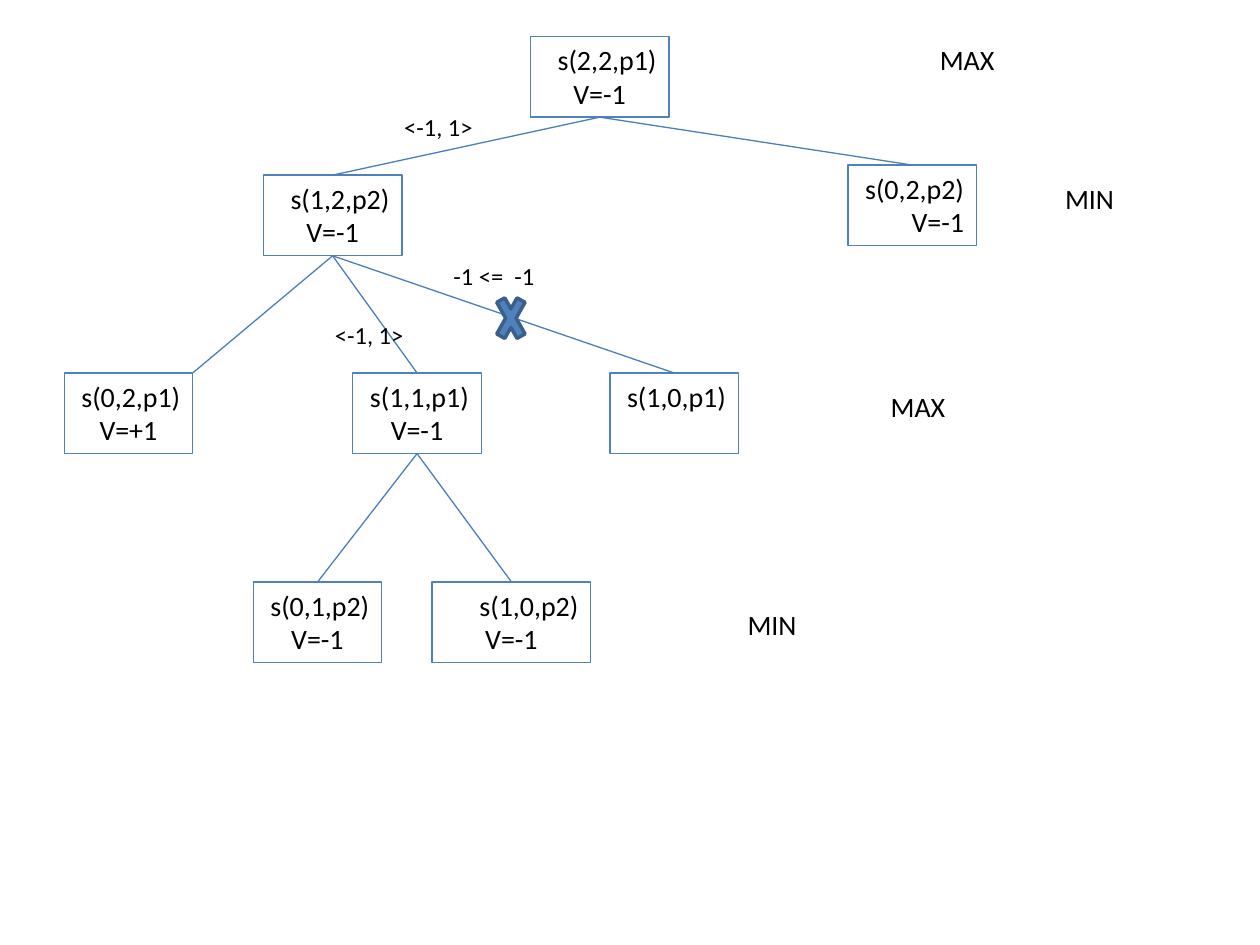
from pptx import Presentation
from pptx.dml.color import RGBColor
from pptx.enum import shapes, text
from pptx.oxml.ns import qn
from pptx.util import Inches, Pt

HUES = {"edge": "4F81BD", "link": "4B7EBC", "cross": "3A5F8C", "ink": "000000"}
RIGHT, MID, LEFT = text.PP_ALIGN.RIGHT, text.PP_ALIGN.CENTER, text.PP_ALIGN.LEFT
HIGH = 0.64

NODES = {
    "root": (4.21, 0.29, 1.1, ["s(2,2,p1)", "V=-1"]),
    "left": (2.09, 1.39, 1.1, ["s(1,2,p2)", "V=-1"]),
    "right": (6.73, 1.31, 1.02, ["s(0,2,p2)\vV=-1"]),
    "win": (0.51, 2.96, 1.02, ["s(0,2,p1)", "V=+1"]),
    "loss": (2.8, 2.96, 1.02, ["s(1,1,p1)", "V=-1"]),
    "pruned": (4.84, 2.96, 1.02, ["s(1,0,p1)"]),
    "leaf one": (2.01, 4.62, 1.02, ["s(0,1,p2)", "V=-1"]),
    "leaf two": (3.43, 4.62, 1.26, ["s(1,0,p2)", "V=-1"]),
}
LINKS = [
    ("root", "left"), ("left", "win"), ("left", "loss"), ("left", "pruned"),
    ("root", "right"), ("loss", "leaf one"), ("loss", "leaf two"),
]
CORNER = {"win"}
LEVELS = [(7.28, 0.29, "MAX"), (8.23, 1.39, "MIN"), (6.89, 3.04, "MAX"), (5.71, 4.77, "MIN")]
BOUNDS = [(3.11, 0.84, "<-1, 1>"), (2.56, 2.49, "<-1, 1>"), (3.5, 2.02, "-1 <=  -1")]


def hue(name):
    return RGBColor.from_string(HUES[name])


def write(shape, lines, size, aligns):
    frame = shape.text_frame
    form = {"word_wrap": True, "vertical_anchor": text.MSO_ANCHOR.TOP}
    for key, value in form.items():
        setattr(frame, key, value)
    frame.text = "\n".join(lines)
    for para, align in zip(frame.paragraphs, aligns):
        para.alignment = align
        for run in para.runs:
            for key, value in {"name": "Calibri", "size": Pt(size)}.items():
                setattr(run.font, key, value)
            run.font.color.rgb = hue("ink")


def draw(slide, kind, place, line, width, fill=None):
    shape = slide.shapes.add_shape(kind, *map(Inches, place))
    shape.shadow.inherit = False
    if fill:
        shape.fill.solid()
        shape.fill.fore_color.rgb = hue(fill)
    else:
        shape.fill.background()
    shape.line.color.rgb = hue(line)
    shape.line.width = Pt(width)
    return shape


def join(slide, start, end, corner):
    line = slide.shapes.add_connector(
        shapes.MSO_CONNECTOR.STRAIGHT, start.left + start.width // 2,
        start.top + start.height, end.left + end.width, end.top)
    line.begin_connect(start, 2)
    if not corner:
        line.end_connect(end, 0)
    line.line.color.rgb = hue("link")
    line.line.width = Pt(0.75)
    props = line._element.spPr
    props.append(props.makeelement(qn("a:effectLst"), {}))


def label(slide, place, words, size, align):
    box = slide.shapes.add_textbox(*map(Inches, place))
    write(box, [words], size, [align])


def main():
    deck = Presentation()
    deck.slide_width, deck.slide_height = Inches(10), Inches(7.5)
    slide = deck.slides.add_slide(deck.slide_layouts[6])
    boxes = {}
    for name, (x, y, wide, lines) in NODES.items():
        box = draw(slide, shapes.MSO_SHAPE.RECTANGLE, (x, y, wide, HIGH), "edge", 0.75)
        write(box, lines, 16, [RIGHT, MID])
        boxes[name] = box
    for start, end in LINKS:
        join(slide, boxes[start], boxes[end], end in CORNER)
    draw(slide, shapes.MSO_SHAPE.MATH_MULTIPLY, (3.9, 2.25, 0.31, 0.55), "cross", 2, "edge")
    for x, y, words in LEVELS:
        label(slide, (x, y, 0.71, 0.37), words, 16, RIGHT)
    for x, y, words in BOUNDS:
        label(slide, (x, y, 1.1, 0.34), words, 14, LEFT)
    deck.save("out.pptx")


if __name__ == "__main__":
    main()
